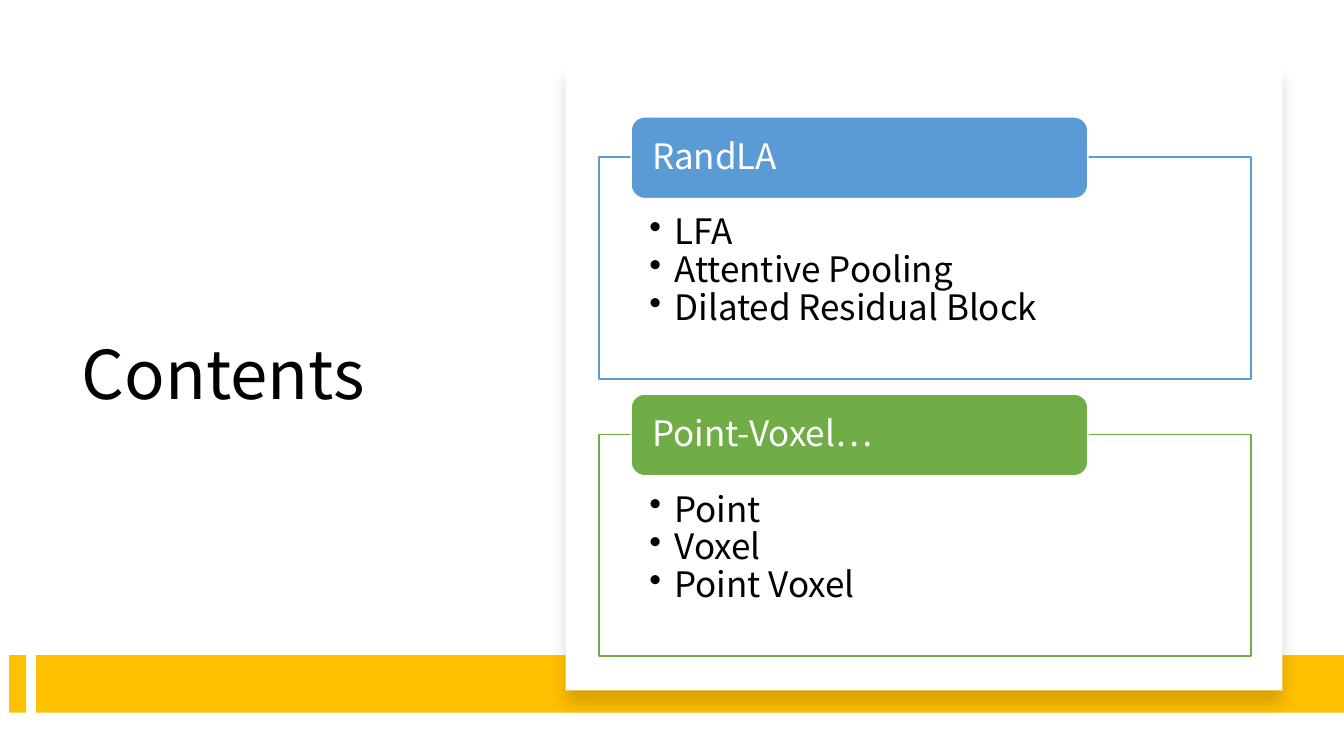
from lxml import etree
from pptx import Presentation
from pptx import util as u
from pptx.dml.color import RGBColor
from pptx.enum import shapes, text
from pptx.oxml import ns

FONT = "Noto Sans CJK SC"
WHITE, BLACK, GOLD = "FFFFFF", "000000", "FFC000"
BLUE, GREEN = "5B9BD5", "70AD47"

presentation = Presentation()
presentation.slide_width, presentation.slide_height = u.Inches(13.33), u.Inches(7.5)
slide = presentation.slides.add_slide(presentation.slide_layouts[6])


def add_box(box, fill, line=None, kind=shapes.MSO_SHAPE.RECTANGLE):
    shape = slide.shapes.add_shape(kind, *map(u.Inches, box))
    shape.shadow.inherit = False
    shape.fill.solid()
    shape.fill.fore_color.rgb = RGBColor.from_string(fill)
    if line:
        shape.line.color.rgb = RGBColor.from_string(line)
        shape.line.width = u.Pt(1)
    else:
        shape.line.fill.background()
    return shape


def write(shape, lines, size, color, anchor, insets, bullet=False):
    """Fill a shape with left-aligned lines; insets are left, top, right, bottom in inches."""
    frame = shape.text_frame
    frame.word_wrap = True
    frame.vertical_anchor = anchor
    (frame.margin_left, frame.margin_top,
     frame.margin_right, frame.margin_bottom) = map(u.Inches, insets)
    for index, line in enumerate(lines):
        paragraph = frame.paragraphs[0] if index == 0 else frame.add_paragraph()
        paragraph.alignment = text.PP_ALIGN.LEFT
        paragraph.line_spacing = 0.9
        paragraph.space_after = u.Pt(0)
        run = paragraph.add_run()
        run.text = line
        run.font.name = FONT
        run.font.size = u.Pt(size)
        run.font.color.rgb = RGBColor.from_string(color)
        properties = paragraph._p.get_or_add_pPr()
        for tag in ("a:ea", "a:cs"):
            etree.SubElement(run._r.get_or_add_rPr(), ns.qn(tag), typeface=FONT)
        if bullet:
            properties.set("marL", str(u.Inches(0.25)))
            properties.set("indent", str(-u.Inches(0.25)))
            etree.SubElement(properties, ns.qn("a:buChar"), char="•")


# Title
title = slide.shapes.add_textbox(*map(u.Inches, (0.71, 1.2, 4.15, 5.1)))
write(title, ["Contents"], 48, BLACK, text.MSO_ANCHOR.MIDDLE, (0.1, 0.05, 0.1, 0.05))

# Gold band
for left, width in ((0.09, 0.17), (0.36, 12.97)):
    add_box((left, 6.5, width, 0.57), GOLD)

# White panel with a soft shadow below it
panel = add_box((5.61, 0.64, 7.11, 6.21), WHITE)
effects = panel._element.spPr.find(ns.qn("a:effectLst"))
shadow = etree.SubElement(effects, ns.qn("a:outerShdw"), blurRad=str(u.Pt(11)),
                          dist=str(u.Pt(10)), dir="5400000", algn="t", rotWithShape="0")
shadow_color = etree.SubElement(shadow, ns.qn("a:srgbClr"), val=BLACK)
etree.SubElement(shadow_color, ns.qn("a:alpha"), val="15000")

# Sections: an outlined list with a heading across its top edge
sections = [
    ("RandLA", BLUE, ["LFA", "Attentive Pooling", "Dilated Residual Block"]),
    ("Point-Voxel…", GREEN, ["Point", "Voxel", "Point Voxel"]),
]
for row, (heading, color, items) in enumerate(sections):
    top = 1.16 + row * 2.75
    outline = add_box((5.94, top + 0.4, 6.47, 2.2), WHITE, color)
    write(outline, items, 25, BLACK, text.MSO_ANCHOR.TOP, (0.5, 0.57, 0.5, 0.19), bullet=True)
    label = add_box((6.26, top, 4.53, 0.81), color, WHITE, shapes.MSO_SHAPE.ROUNDED_RECTANGLE)
    write(label, [heading], 25, WHITE, text.MSO_ANCHOR.MIDDLE, (0.17, 0, 0.17, 0))

presentation.save("out.pptx")
